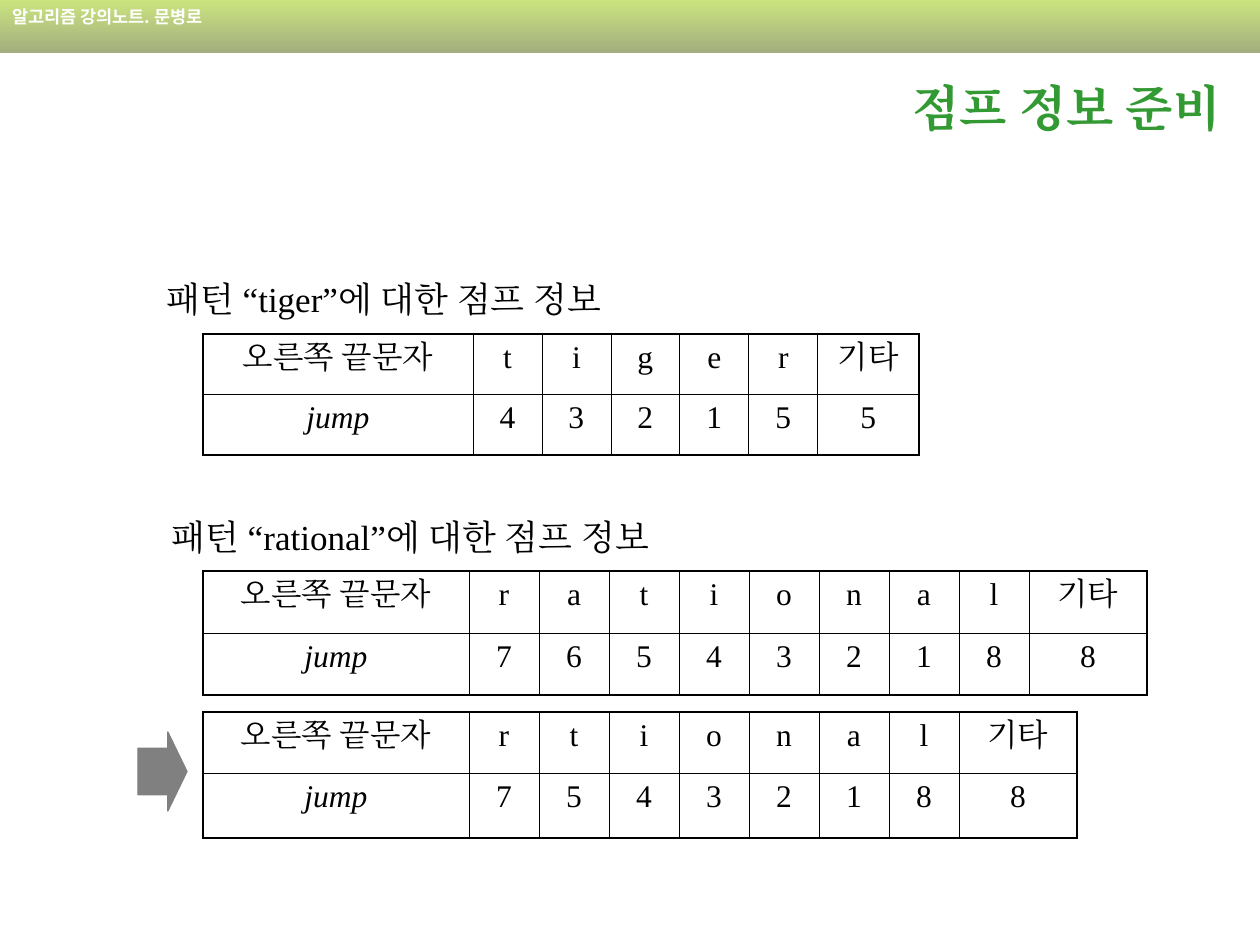
from dataclasses import dataclass
from typing import Optional

from lxml import etree
from pptx import Presentation
from pptx import util as u
from pptx.dml import color
from pptx.enum import shapes, text
from pptx.oxml import ns

PX_PER_INCH = 126
COLORS = {
    "text": "000000",
    "header_text": "FFFFFF",
    "header_top": "99CC00",
    "header_bottom": "475E00",
    "title": "339933",
    "arrow": "808080",
    "border": "000000",
}
SERIF = "Times New Roman"
KOREAN = "Noto Sans CJK KR"
INNER_PT, OUTER_PT = 0.45, 1.08


@dataclass
class Caption:
    words: str
    left: int
    top: int
    width: int
    height: int
    size: int
    color: str = "text"
    bold: bool = False
    centered: bool = False
    wrap: bool = False


@dataclass
class JumpTable:
    letters: str
    jumps: str
    top: int
    rows: tuple[int, int]
    label_width: int
    letter_width: int
    other_width: int


CAPTIONS = [
    Caption("패턴 “tiger”에 대한 점프 정보", 154, 271, 478, 55, 20),
    Caption("패턴 “rational”에 대한 점프 정보", 159, 509, 520, 55, 20),
    Caption("점프 정보 준비", 873, 53, 387, 107, 28, "title",
            bold=True, centered=True, wrap=True),
]
TABLE_LEFT = 203
JUMP_TABLES = [
    JumpTable("tiger", "432155", 334, (60, 61), 270, 69, 101),
    JumpTable("rational", "765432188", 571, (62, 62), 266, 70, 118),
    JumpTable("rtional", "75432188", 712, (61, 65), 266, 70, 118),
]


def px(length: int) -> u.Emu:
    return u.Emu(round(length * 914400 / PX_PER_INCH))


def rgb(name: str) -> color.RGBColor:
    return color.RGBColor.from_string(COLORS[name])


def write(frame, words: str, size: int, color_name: str = "text", bold: bool = False,
          italic: bool = False, align: Optional[text.PP_ALIGN] = None,
          typeface: str = SERIF) -> None:
    frame.text = words
    paragraph = frame.paragraphs[0]
    paragraph.alignment = align
    font = paragraph.runs[0].font
    font.size, font.bold, font.italic = u.Pt(size), bold, italic
    font.name = typeface
    font.color.rgb = rgb(color_name)
    # East Asian face, which also sets the width of quotes and spaces
    etree.SubElement(font._element, ns.qn("a:ea"), typeface=typeface)


def draw_header(slide) -> None:
    header = slide.shapes.add_shape(shapes.MSO_SHAPE.RECTANGLE, 0, 0, px(1260), px(53))
    header.shadow.inherit = False
    header.line.fill.background()
    header.fill.gradient()
    header.fill.gradient_angle = 270
    for stop, name in zip(header.fill.gradient_stops, ("header_top", "header_bottom")):
        stop.color.rgb = rgb(name)
    for tint in header._element.spPr.iter(ns.qn("a:srgbClr")):
        etree.SubElement(tint, ns.qn("a:alpha"), val="50000")
    header.text_frame.vertical_anchor = text.MSO_ANCHOR.TOP
    write(header.text_frame, "알고리즘 강의노트. 문병로", 10, "header_text", bold=True,
          align=text.PP_ALIGN.LEFT, typeface=KOREAN)


def draw_caption(slide, caption: Caption) -> None:
    box = slide.shapes.add_textbox(px(caption.left), px(caption.top),
                                   px(caption.width), px(caption.height))
    frame = box.text_frame
    frame.word_wrap = caption.wrap
    if caption.centered:
        frame.vertical_anchor = text.MSO_ANCHOR.MIDDLE
    else:
        frame.auto_size = text.MSO_AUTO_SIZE.SHAPE_TO_FIT_TEXT
    align = text.PP_ALIGN.CENTER if caption.centered else text.PP_ALIGN.LEFT
    write(frame, caption.words, caption.size, caption.color, caption.bold, align=align)


def set_borders(cell, outer_sides: dict[str, bool]) -> None:
    properties = cell._tc.get_or_add_tcPr()
    for index, (side, outer) in enumerate(outer_sides.items()):
        width = u.Pt(OUTER_PT if outer else INNER_PT)
        edge = etree.Element(ns.qn(f"a:ln{side}"), w=str(width))
        fill = etree.SubElement(edge, ns.qn("a:solidFill"))
        etree.SubElement(fill, ns.qn("a:srgbClr"), val=COLORS["border"])
        properties.insert(index, edge)


def draw_jump_table(slide, jump_table: JumpTable) -> None:
    contents = [
        ["오른쪽 끝문자", *jump_table.letters, "기타"],
        ["jump", *jump_table.jumps],
    ]
    widths = [jump_table.label_width,
              *[jump_table.letter_width] * len(jump_table.letters),
              jump_table.other_width]
    table = slide.shapes.add_table(
        len(contents), len(widths), px(TABLE_LEFT), px(jump_table.top),
        px(sum(widths)), px(sum(jump_table.rows))).table
    table.first_row = table.horz_banding = False
    for column, width in zip(table.columns, widths):
        column.width = px(width)
    for r, (row, height) in enumerate(zip(table.rows, jump_table.rows)):
        row.height = px(height)
        for c, words in enumerate(contents[r]):
            cell = table.cell(r, c)
            cell.fill.background()
            write(cell.text_frame, words, 18, italic=words == "jump",
                  align=text.PP_ALIGN.CENTER)
            set_borders(cell, {"L": c == 0, "R": c == len(widths) - 1,
                               "T": r == 0, "B": r == len(contents) - 1})


def draw_arrow(slide) -> None:
    arrow = slide.shapes.add_shape(shapes.MSO_SHAPE.RIGHT_ARROW,
                                   px(138), px(732), px(49), px(79))
    arrow.adjustments[0], arrow.adjustments[1] = 0.59, 0.39
    arrow.shadow.inherit = False
    arrow.fill.solid()
    arrow.fill.fore_color.rgb = rgb("arrow")
    arrow.line.color.rgb = rgb("arrow")
    arrow.line.width = u.Pt(0.75)


def main() -> None:
    deck = Presentation()
    deck.slide_width, deck.slide_height = px(1260), px(945)
    slide = deck.slides.add_slide(deck.slide_layouts[6])

    # Header band
    draw_header(slide)

    # Jump tables, the last one reduced to one column per letter
    for jump_table in JUMP_TABLES:
        draw_jump_table(slide, jump_table)
    draw_arrow(slide)

    # Title and table captions
    for caption in CAPTIONS:
        draw_caption(slide, caption)

    deck.save("out.pptx")


if __name__ == "__main__":
    main()
